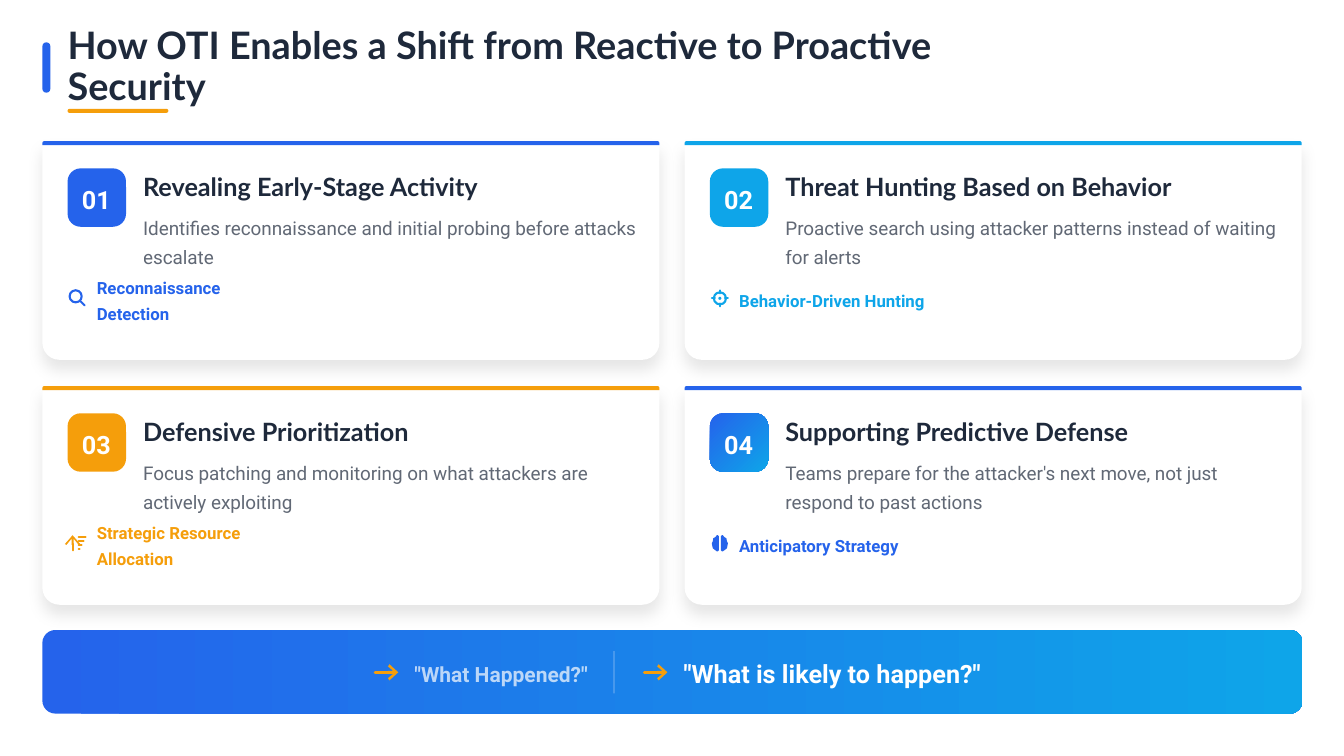
from dataclasses import dataclass
from typing import Optional
from lxml.etree import SubElement
from pptx import Presentation
from pptx.dml.color import RGBColor
from pptx.enum.shapes import MSO_CONNECTOR, MSO_SHAPE
from pptx.enum.text import MSO_ANCHOR, MSO_AUTO_SIZE, PP_ALIGN
from pptx.oxml.ns import qn
from pptx.util import Inches, Pt

HUES = {"blue": "2563EB", "sky": "0EA5E9", "gold": "F59E0B", "ink": "1E293B", "white": "FFFFFF"}


@dataclass
class Card:
    head: str
    body: str
    tag: str
    hue: str
    icon: str
    wide: float
    blend: bool = False


@dataclass
class Style:
    size: float
    hue: str
    space: float
    font: str = "Roboto"
    bold: bool = True
    alpha: Optional[int] = None
    align: PP_ALIGN = PP_ALIGN.LEFT


CARDS = [
    Card("Revealing Early-Stage Activity",
         "Identifies reconnaissance and initial probing before attacks escalate",
         "Reconnaissance Detection", "blue", "lens", 1.98),
    Card("Threat Hunting Based on Behavior",
         "Proactive search using attacker patterns instead of waiting for alerts",
         "Behavior-Driven Hunting", "sky", "target", 1.88),
    Card("Defensive Prioritization",
         "Focus patching and monitoring on what attackers are actively exploiting",
         "Strategic Resource Allocation", "gold", "sort", 2.19),
    Card("Supporting Predictive Defense",
         "Teams prepare for the attacker's next move, not just respond to past actions",
         "Anticipatory Strategy", "blue", "brain", 1.6, True),
]
HEAD = Style(18, "ink", 1.1, font="Lato")
BODY = Style(13.5, "ink", 1.3, bold=False, alpha=70)
BADGE = Style(18, "white", 1.1, align=PP_ALIGN.CENTER)
LOBE = [(0.01, -0.07), (0.02, -0.08), (0.03, -0.08), (0.045, -0.06), (0.065, -0.05),
        (0.07, -0.02), (0.08, 0), (0.075, 0.025), (0.07, 0.05), (0.045, 0.07),
        (0.03, 0.08), (0.02, 0.08), (0.01, 0.07)]

deck = Presentation()
deck.slide_width, deck.slide_height = Inches(13.33), Inches(7.5)
slide = deck.slides.add_slide(deck.slide_layouts[5])
shapes = slide.shapes


def tint(hue: str) -> RGBColor:
    return RGBColor.from_string(HUES[hue])


def fade(node, alpha: int) -> None:
    SubElement(next(node.iter(qn("a:srgbClr"))), qn("a:alpha"), val=str(alpha * 1000))


def shade(shape, hue: str, angle: Optional[int] = None) -> None:
    shape.shadow.inherit = False
    shape.line.fill.background()
    if angle is None:
        shape.fill.solid()
        shape.fill.fore_color.rgb = tint(hue)
        return
    shape.fill.gradient()
    shape.fill.gradient_angle = angle
    for stop, place, name in zip(shape.fill.gradient_stops, (0, 1), ("blue", "sky")):
        stop.position = place
        stop.color.rgb = tint(name)


def block(kind: MSO_SHAPE, x: float, y: float, w: float, h: float, hue: str,
          bends: tuple = (), angle: Optional[int] = None):
    shape = shapes.add_shape(kind, Inches(x), Inches(y), Inches(w), Inches(h))
    for spot, bend in enumerate(bends):
        shape.adjustments[spot] = bend / min(w, h)
    shade(shape, hue, angle)
    return shape


def write(box, text: str, style: Style) -> None:
    frame = box.text_frame
    frame.text = text
    frame.word_wrap = True
    frame.auto_size = MSO_AUTO_SIZE.NONE
    frame.vertical_anchor = MSO_ANCHOR.MIDDLE
    frame.margin_left = frame.margin_right = frame.margin_top = frame.margin_bottom = 0
    line = frame.paragraphs[0]
    line.alignment, line.line_spacing = style.align, style.space
    run = line.runs[0]
    run.font.name, run.font.size, run.font.bold = style.font, Pt(style.size), style.bold
    run.font.color.rgb = tint(style.hue)
    if style.alpha:
        fade(run._r, style.alpha)


def label(x: float, y: float, w: float, h: float, text: str, style: Style) -> None:
    write(shapes.add_textbox(Inches(x), Inches(y), Inches(w), Inches(h)), text, style)


def stroke(x: float, y: float, to_x: float, to_y: float, hue: str, width: float = 1.4,
           arrow: bool = False, alpha: Optional[int] = None) -> None:
    line = shapes.add_connector(MSO_CONNECTOR.STRAIGHT, *map(Inches, (x, y, to_x, to_y)))
    line.line.color.rgb = tint(hue)
    line.line.width = Pt(width)
    props = line._element.spPr
    edge = props.find(qn("a:ln"))
    if alpha:
        fade(edge, alpha)
    else:
        edge.set("cap", "rnd")
    if arrow:
        SubElement(edge, qn("a:tailEnd"), type="arrow", w="lg", len="med")
    SubElement(props, qn("a:effectLst"))


def ring(x: float, y: float, size: float, hue: str) -> None:
    oval = block(MSO_SHAPE.OVAL, x - size, y - size, 2 * size, 2 * size, hue)
    oval.fill.background()
    oval.line.color.rgb = tint(hue)
    oval.line.width = Pt(1.5)


def lens(x: float, y: float, hue: str) -> None:
    ring(x - 0.02, y - 0.02, 0.06, hue)
    stroke(x + 0.03, y + 0.03, x + 0.07, y + 0.07, hue)


def target(x: float, y: float, hue: str) -> None:
    ring(x, y, 0.06, hue)
    for across, down in ((1, 0), (-1, 0), (0, 1), (0, -1)):
        stroke(x + across * 0.05, y + down * 0.05, x + across * 0.08, y + down * 0.08, hue)
    block(MSO_SHAPE.OVAL, x - 0.015, y - 0.015, 0.03, 0.03, hue)


def sort(x: float, y: float, hue: str) -> None:
    stroke(x - 0.05, y + 0.07, x - 0.05, y - 0.08, hue, arrow=True)
    for step in range(4):
        level = y - 0.06 + step * 0.04
        stroke(x + 0.01, level, x + 0.08 - step * 0.02, level, hue)


def brain(x: float, y: float, hue: str) -> None:
    for side in (-1, 1):
        spots = [(Inches(x + side * dx), Inches(y + dy)) for dx, dy in LOBE]
        form = shapes.build_freeform(*spots[0])
        form.add_line_segments(spots[1:])
        shade(form.convert_to_shape(), hue)


ICONS = {"lens": lens, "target": target, "sort": sort, "brain": brain}


def draw(card: Card, spot: int) -> None:
    row, col = divmod(spot, 2)
    x, y = 0.42 + col * 6.37, 1.4 + row * 2.43
    panel = block(MSO_SHAPE.ROUND_2_SAME_RECTANGLE, x, y, 6.12, 2.17, "white", (0.04, 0.17))
    glow = SubElement(panel._element.spPr.find(qn("a:effectLst")), qn("a:outerShdw"),
                      blurRad=str(Pt(11.2)), dist=str(Pt(7.5)), dir="5400000",
                      algn="ctr", rotWithShape="0")
    fade(SubElement(glow, qn("a:srgbClr"), val="000000"), 10)
    block(MSO_SHAPE.ROUND_2_SAME_RECTANGLE, x, y, 6.12, 0.04, card.hue, (0.02, 0))
    block(MSO_SHAPE.ROUNDED_RECTANGLE, x + 0.25, y + 0.27, 0.58, 0.58, card.hue,
          (0.13,), 315 if card.blend else None)
    label(x + 0.18, y + 0.27, 0.71, 0.58, f"{spot + 1:02}", BADGE)
    label(x + 1, y + 0.27, 5, 0.33, card.head, HEAD)
    label(x + 1, y + 0.68, 4.97, 0.58, card.body, BODY)
    ICONS[card.icon](x + 0.35, y + 1.56, card.hue)
    label(x + 0.54, y + 1.43, card.wide, 0.25, card.tag, Style(12, card.hue, 1.3))


def main() -> None:
    block(MSO_SHAPE.ROUNDED_RECTANGLE, 0.42, 0.42, 0.08, 0.5, "blue", (0.04,))
    title = shapes.title
    title.left, title.top, title.width, title.height = map(Inches, (0.67, 0.46, 10.01, 0.42))
    write(title, "How OTI Enables a Shift from Reactive to Proactive Security",
          Style(27, "ink", 0.9, font="Lato"))
    block(MSO_SHAPE.ROUNDED_RECTANGLE, 0.67, 1.08, 1, 0.04, "gold", (0.02,))
    for spot, card in enumerate(CARDS):
        draw(card, spot)
    block(MSO_SHAPE.ROUNDED_RECTANGLE, 0.42, 6.25, 12.5, 0.83, "blue", (0.13,), 0)
    for x in (3.72, 6.39):
        stroke(x, 6.67, x + 0.23, 6.67, "gold", 2.1, arrow=True)
    label(4.11, 6.52, 1.82, 0.29, '"What Happened?"', Style(15, "white", 1.2, alpha=70))
    stroke(6.09, 6.46, 6.09, 6.88, "white", 0.75, alpha=30)
    label(6.78, 6.5, 3, 0.33, '"What is likely to happen?"', Style(18, "white", 1.1))
    deck.save("out.pptx")


if __name__ == "__main__":
    main()
